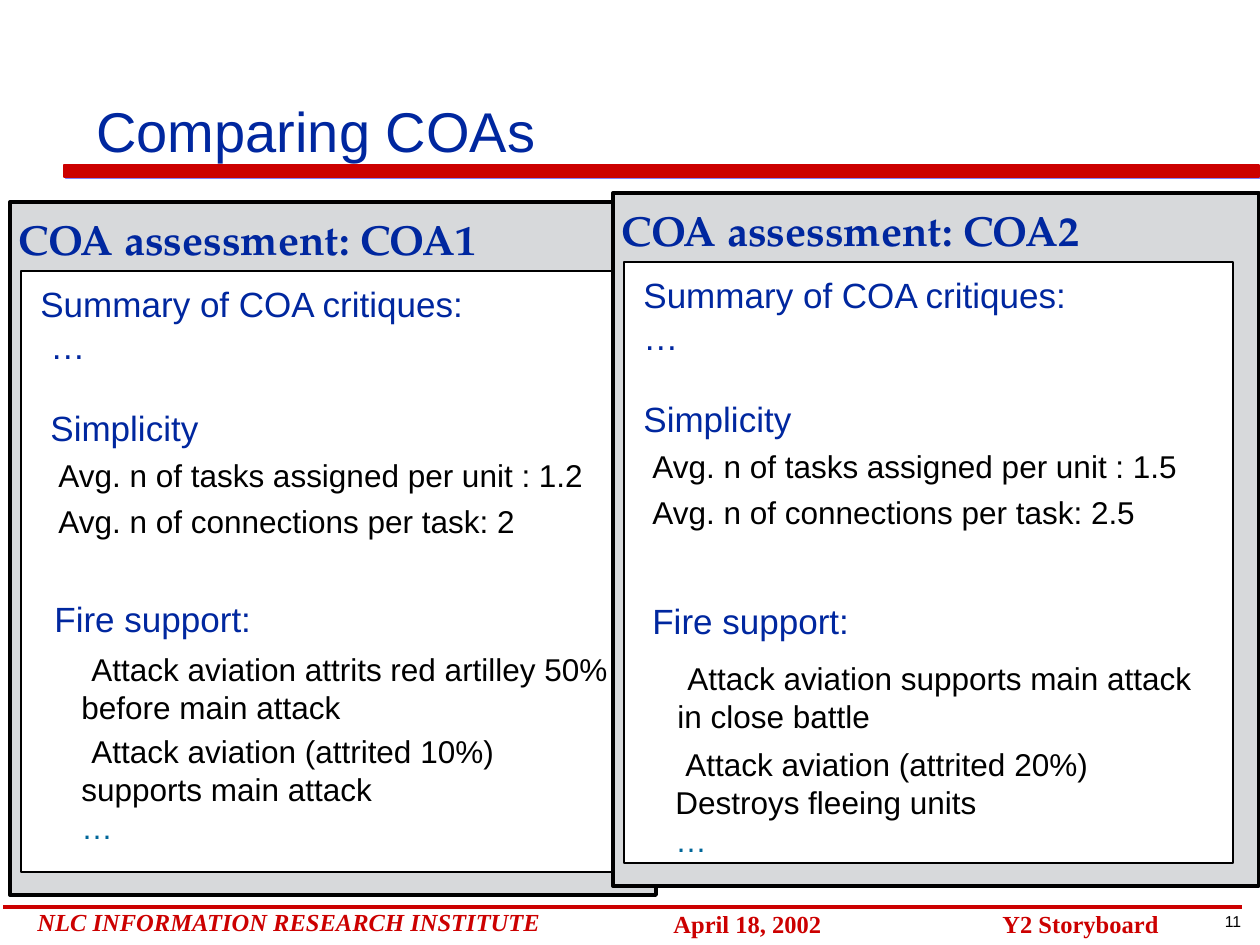
from lxml import etree
from pptx import Presentation
from pptx import util as u
from pptx.dml.color import RGBColor
from pptx.enum import shapes, text
from pptx.oxml import ns

SCALE = 914400 // 126
COLORS = {"red": "CC0000", "blue": "00279F", "black": "000000", "teal": "006699",
          "gray": "D7D9DB", "white": "FFFFFF", "shade": "8080FF"}
SERIF = "Times New Roman"
HEADING = "TeX Gyre Pagella"


def px(value):
    return u.Emu(round(value * SCALE))


def color(name):
    return RGBColor.from_string(COLORS[name])


def line(content, size=18, tint="black", left=0, first=0, before=0):
    return dict(content=content, size=size, tint=tint, left=left, first=first, before=before)


def add_box(page, place, fill, border, width):
    box = page.shapes.add_shape(shapes.MSO_SHAPE.RECTANGLE, *map(px, place))
    box.shadow.inherit = False
    box.fill.solid()
    box.fill.fore_color.rgb = color(fill)
    box.line.color.rgb = color(border)
    box.line.width = u.Pt(width)
    return box


def add_text(page, place, lines, font="Arial", bold=False, italic=False,
             align=text.PP_ALIGN.LEFT, anchor=text.MSO_ANCHOR.TOP):
    frame = page.shapes.add_textbox(*map(px, place)).text_frame
    frame.word_wrap = True
    frame.vertical_anchor = anchor
    for index, item in enumerate(lines):
        para = frame.paragraphs[0] if index == 0 else frame.add_paragraph()
        para.alignment = align
        para.space_before = u.Pt(item["before"])
        properties = para._p.get_or_add_pPr()
        properties.set("marL", str(px(item["left"])))
        properties.set("indent", str(px(item["first"])))
        span = para.add_run()
        span.text = item["content"]
        span.font.name = font
        span.font.size = u.Pt(item["size"])
        span.font.bold = bold
        span.font.italic = italic
        span.font.color.rgb = color(item["tint"])


def add_rule(page, start, end, tint, width):
    rule = page.shapes.add_connector(shapes.MSO_CONNECTOR.STRAIGHT, *map(px, start + end))
    rule.line.color.rgb = color(tint)
    rule.line.width = u.Pt(width)
    etree.SubElement(rule._element.spPr, ns.qn("a:effectLst"))


def add_shadow(box, tint, distance):
    effects = box._element.spPr.find(ns.qn("a:effectLst"))
    shadow = etree.SubElement(effects, ns.qn("a:outerShdw"), dist=str(u.Pt(distance)),
                              dir="2700000", algn="ctr", rotWithShape="0")
    etree.SubElement(shadow, ns.qn("a:srgbClr"), val=COLORS[tint])


def add_header(page):
    bar = add_box(page, (64, 165, 1195, 12), "red", "red", 1)
    add_shadow(bar, "shade", 1.4)
    add_text(page, (84, 11, 1068, 159), [line("Comparing COAs", 32, "blue")],
             anchor=text.MSO_ANCHOR.BOTTOM)


def add_footer(page):
    add_rule(page, (1242, 907), (3, 907), "red", 2)
    for x, y, width, content, italic in (
            (25, 901, 549, "NLC INFORMATION RESEARCH INSTITUTE", True),
            (661, 903, 207, "April 18, 2002", False),
            (990, 903, 207, "Y2 Storyboard", False)):
        add_text(page, (x, y, width, 42), [line(content, 14, "red")], SERIF, True, italic)
    add_text(page, (1206, 906, 54, 32), [line("11", 9)], align=text.PP_ALIGN.CENTER)


def add_panel(page, x, y, name, indents, averages, fire_at, attacks):
    section, detail = indents
    add_box(page, (x, y, 646, 693), "gray", "black", 2.25)
    add_text(page, (x - 4, y + 5, 510, 63), [line(f"COA assessment: {name}", 24, "blue")],
             HEADING, True)
    add_box(page, (x + 11, y + 69, 609, 601), "white", "black", 1)
    add_text(page, (x + 18, y + 74, 590, 272), [
        line("Summary of COA critiques:", 20, "blue"),
        line("…", 20, "blue", section),
        line("Simplicity", 20, "blue", section, before=23),
        line(f"Avg. n of tasks assigned per unit : {averages[0]}", left=detail, before=4.5),
        line(f"Avg. n of connections per task: {averages[1]}", left=detail, before=4.5)])
    add_text(page, fire_at + (222, 55), [line("Fire support:", 20, "blue")])
    for place, lines in attacks:
        add_text(page, place, lines)


def main():
    deck = Presentation()
    deck.slide_width, deck.slide_height = px(1260), px(945)
    page = deck.slides.add_slide(deck.slide_layouts[6])
    add_header(page)
    add_footer(page)
    more = line("…", tint="teal")
    add_panel(page, 10, 202, "COA1", (10, 18), ("1.2", "2"), (42, 591), [
        ((69, 644, 566, 93), [line("Attack aviation attrits red artilley 50%", first=10),
                              line("before main attack")]),
        ((69, 726, 508, 131), [line("Attack aviation (attrited 10%)", first=10),
                               line("supports main attack"), more])])
    add_panel(page, 613, 193, "COA2", (0, 9), ("1.5", "2.5"), (640, 593), [
        ((665, 653, 566, 93),
         [line("Attack aviation supports main attack in close battle", first=10)]),
        ((663, 739, 508, 131), [line("Attack aviation (attrited 20%)", first=10),
                                line("Destroys fleeing units"), more])])
    deck.save("out.pptx")


main()
